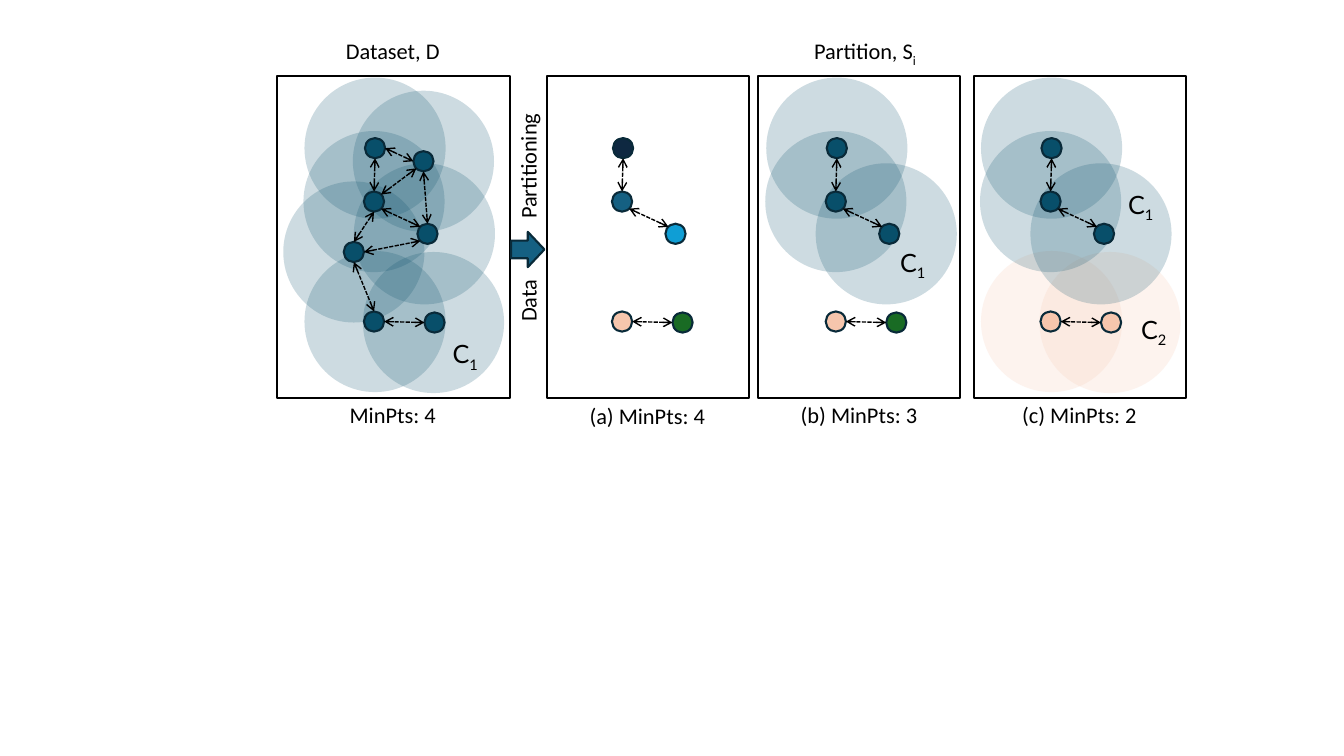
"""Draw how a dataset and its partition cluster under several MinPts values."""
from lxml import etree
from pptx import Presentation, util as u
from pptx.dml.color import RGBColor
from pptx.enum import dml, shapes, text
from pptx.oxml import ns

PX = 9144
TEAL = RGBColor(0x08, 0x4F, 0x6A)
EDGE = RGBColor(0x09, 0x2A, 0x39)
BLUE = RGBColor(0x15, 0x60, 0x82)
NAVY = RGBColor(0x0E, 0x28, 0x41)
SKY = RGBColor(0x0F, 0x9E, 0xD5)
PEACH = RGBColor(0xF6, 0xC6, 0xAD)
GREEN = RGBColor(0x19, 0x6B, 0x24)
BLACK = RGBColor(0, 0, 0)
HALO, NODE = 140, 20

deck = Presentation()
deck.slide_width, deck.slide_height = 1333 * PX, 750 * PX
slide = deck.slides.add_slide(deck.slide_layouts[6])
kinds = shapes.MSO_SHAPE


def shape(kind, box, fill=None, line=None, alpha=None):
    item = slide.shapes.add_shape(kind, *(n * PX for n in box))
    item.shadow.inherit = False
    if fill is None:
        item.fill.background()
    else:
        item.fill.solid()
        item.fill.fore_color.rgb = fill
    if line is None:
        item.line.fill.background()
    else:
        item.line.color.rgb = line
        item.line.width = u.Pt(1.5)
    if alpha:
        tint = item.fill._xPr.find(".//" + ns.qn("a:srgbClr"))
        etree.SubElement(tint, ns.qn("a:alpha"), val=str(alpha * 1000))


def label(words, box, sub="", size=16, face="Calibri", wrap=True, turn=0, tab=0):
    item = slide.shapes.add_textbox(*(n * PX for n in box))
    item.rotation = turn
    frame = item.text_frame
    frame.word_wrap = wrap
    frame.auto_size = text.MSO_AUTO_SIZE.SHAPE_TO_FIT_TEXT
    para = frame.paragraphs[0]
    left = tab or not wrap
    para.alignment = text.PP_ALIGN.LEFT if left else text.PP_ALIGN.CENTER
    if tab:
        stops = etree.SubElement(para._p.get_or_add_pPr(), ns.qn("a:tabLst"))
        etree.SubElement(stops, ns.qn("a:tab"), pos=str(tab * PX), algn="l")
    for part, base in ((words, 0), (sub, -25000)):
        if part:
            run = para.add_run()
            run.text = part
            look = {"size": u.Pt(size), "name": face}
            for key, value in look.items():
                setattr(run.font, key, value)
            run.font.color.rgb = BLACK
            if base:
                run._r.get_or_add_rPr().set("baseline", str(base))


# name: centre x, centre y, halo centre x
spots = {
    "end": (431, 320, 430), "low": (371, 319, 372), "left": (351, 250, 351),
    "top": (372, 147, 372), "right": (424, 232, 421),
    "high": (420, 160, 420), "mid": (371, 200, 371),
}
links = [
    (371, 190, 372, 157), (417, 225, 378, 207), (421, 320, 381, 319),
    (351, 260, 371, 309), (361, 250, 417, 239), (351, 240, 371, 210),
    (378, 193, 413, 167), (420, 170, 424, 222), (382, 147, 410, 160),
]
chain = {"top": TEAL, "right": TEAL, "mid": TEAL}
# frame left, frame width, shift, node colours, names with halos, link count
panels = [
    (275, 231, 0, dict.fromkeys(spots, TEAL), spots, 9),
    (543, 200, 246, {"top": NAVY, "right": SKY, "mid": BLUE,
                     "low": PEACH, "end": GREEN}, (), 3),
    (752, 200, 458, {**chain, "low": PEACH, "end": GREEN}, chain, 3),
    (966, 210, 671, {"end": PEACH, "low": PEACH, **chain}, spots, 3),
]
for left, wide, shift, tints, halos, count in panels:
    for name, tint in tints.items():
        if name in halos:
            x, y = spots[name][2] + shift, spots[name][1]
            shape(kinds.OVAL, (x - HALO // 2, y - HALO // 2, HALO, HALO), tint, alpha=20)
    for name, tint in tints.items():
        x, y = spots[name][0] + shift, spots[name][1]
        shape(kinds.OVAL, (x - NODE // 2, y - NODE // 2, NODE, NODE), tint, EDGE)
    shape(kinds.RECTANGLE, (left, 75, wide, 320), line=BLACK)
    for x1, y1, x2, y2 in links[:count]:
        ends = (x1 + shift, y1, x2 + shift, y2)
        link = slide.shapes.add_connector(
            shapes.MSO_CONNECTOR.STRAIGHT, *(n * PX for n in ends))
        link.line.color.rgb = BLACK
        link.line.width = u.Pt(1)
        link.line.dash_style = dml.MSO_LINE.SQUARE_DOT
        for tip in ("a:headEnd", "a:tailEnd"):
            etree.SubElement(link.line._get_or_add_ln(), ns.qn(tip), type="arrow")
        etree.SubElement(link._element.spPr, ns.qn("a:effectLst"))

shape(kinds.RIGHT_ARROW, (507, 230, 33, 35), BLUE, EDGE)
label("Data\tPartitioning", (396, 183, 255, 37), turn=270, tab=102)
label("Dataset, D", (275, 32, 229, 37))
label("Partition, S", (540, 32, 636, 37), sub="i")
for words, x, y, wide in [
    ("MinPts: 4", 275, 393, 229), ("(a) MinPts: 4", 542, 394, 200),
    ("(b) MinPts: 3", 752, 393, 200), ("(c) MinPts: 2", 965, 393, 211),
]:
    label(words, (x, y, wide, 37))
for sub, x, y in [("1", 439, 331), ("1", 883, 240), ("1", 1109, 183), ("2", 1122, 307)]:
    label("C", (x, y, 47, 40), sub=sub, size=18, face="Lato", wrap=False)

deck.save("out.pptx")
